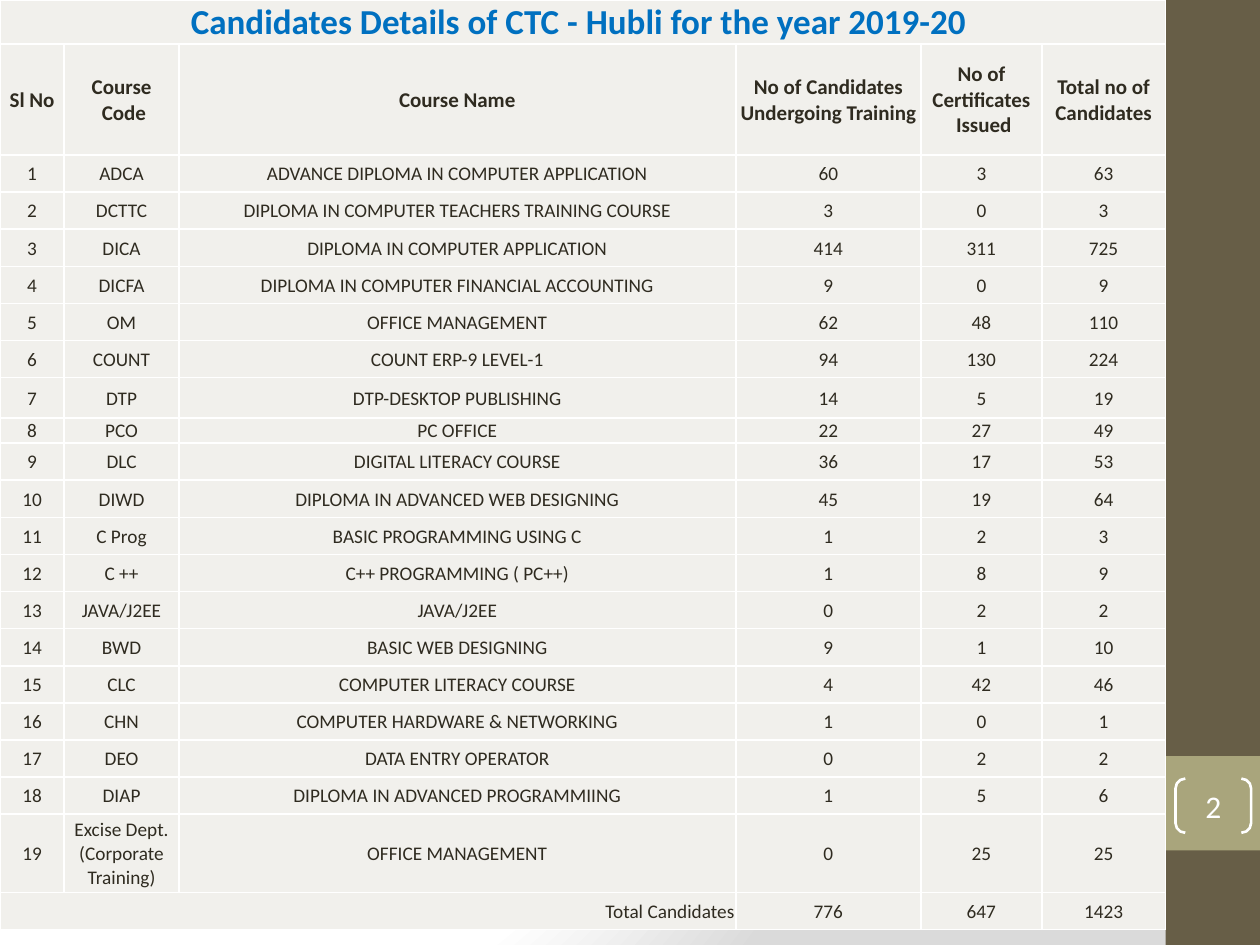
from copy import deepcopy

from pptx import Presentation
from pptx.dml.color import RGBColor
from pptx.enum.shapes import MSO_SHAPE as Shape
from pptx.enum.text import MSO_ANCHOR as Anchor, PP_ALIGN as Align
from pptx.oxml import parse_xml
from pptx.oxml.ns import nsdecls, qn
from pptx.util import Inches, Pt

WHITE = RGBColor(0xFF, 0xFF, 0xFF)
BROWN = RGBColor(0x67, 0x5E, 0x47)
OLIVE = RGBColor(0xA9, 0xA5, 0x7C)
INK = RGBColor(0x2F, 0x2B, 0x20)
BLUE = RGBColor(0x00, 0x70, 0xC0)
CELL = RGBColor(0xF1, 0xF0, 0xEC)

FONT = "Calibri"
SLIDE_W, SLIDE_H = 10, 7.5
BAR_W = 0.75
TABLE_W, TABLE_H = SLIDE_W - BAR_W, 7.38
COLS = [0.51, 0.91, 4.42, 1.47, 0.96, 0.98]
SPECIAL_ROWS = {0: 0.35, 1: 0.88, 8: 0.32, 9: 0.2, 20: 0.62}

TITLE = "Candidates Details of CTC - Hubli for the year 2019-20 "
HEADER = ["Sl No", "Course\v Code", "Course Name", "No of Candidates Undergoing Training",
          "No of Certificates\v Issued", "Total no of Candidates"]
COURSES = [
    ("ADCA", "ADVANCE DIPLOMA IN COMPUTER APPLICATION", 60, 3, 63),
    ("DCTTC", "DIPLOMA IN COMPUTER TEACHERS TRAINING COURSE", 3, 0, 3),
    ("DICA", "DIPLOMA IN COMPUTER APPLICATION", 414, 311, 725),
    ("DICFA", "DIPLOMA IN COMPUTER FINANCIAL ACCOUNTING", 9, 0, 9),
    ("OM", "OFFICE MANAGEMENT", 62, 48, 110),
    ("COUNT", "COUNT ERP-9 LEVEL-1", 94, 130, 224),
    ("DTP", "DTP-DESKTOP PUBLISHING", 14, 5, 19),
    ("PCO", "PC OFFICE", 22, 27, 49),
    ("DLC", "DIGITAL LITERACY COURSE", 36, 17, 53),
    ("DIWD", "DIPLOMA IN ADVANCED WEB DESIGNING", 45, 19, 64),
    ("C Prog", "BASIC PROGRAMMING USING C", 1, 2, 3),
    ("C ++", "C++ PROGRAMMING ( PC++)", 1, 8, 9),
    ("JAVA/J2EE", "JAVA/J2EE", 0, 2, 2),
    ("BWD", "BASIC WEB DESIGNING", 9, 1, 10),
    ("CLC", "COMPUTER LITERACY COURSE", 4, 42, 46),
    ("CHN", "COMPUTER HARDWARE & NETWORKING", 1, 0, 1),
    ("DEO", "DATA ENTRY OPERATOR", 0, 2, 2),
    ("DIAP", "DIPLOMA IN ADVANCED PROGRAMMIING", 1, 5, 6),
    ("Excise Dept. (Corporate Training)", "OFFICE MANAGEMENT", 0, 25, 25),
]
TOTALS = ["Total Candidates", None, None, 776, 647, 1423]


def write(tf, text, size=11, color=INK, bold=False, align=Align.CENTER):
    """Put one formatted paragraph into a text frame."""
    p = tf.paragraphs[0]
    p.text = str(text)
    p.alignment = align
    for r in p.runs:
        r.font.name, r.font.size, r.font.bold = FONT, Pt(size), bold
        r.font.color.rgb = color
    for br in p._p.findall(qn("a:br")):
        br.insert(0, deepcopy(p.runs[0]._r.rPr))


def set_background(s):
    """Fill the slide with a circular white to grey gradient."""
    stops = "".join(f'<a:gs pos="{pos}000"><a:srgbClr val="{color}"/></a:gs>'
                    for pos, color in [(0, "FFFFFF"), (75, "FFFFFF"), (100, "DADADA")])
    s.element.cSld.insert(0, parse_xml(
        f'<p:bg {nsdecls("p", "a")}><p:bgPr><a:gradFill rotWithShape="1"><a:gsLst>{stops}</a:gsLst>'
        '<a:path path="circle"><a:fillToRect l="20000" t="50000" r="100000" b="50000"/></a:path>'
        '</a:gradFill><a:effectLst/></p:bgPr></p:bg>'))


def add_shape(s, kind, x, y, w, h, fill=None, line=None):
    """Add a flat preset shape with an optional fill and outline."""
    sp = s.shapes.add_shape(kind, Inches(x), Inches(y), Inches(w), Inches(h))
    sp.shadow.inherit = False
    for part, color in ((sp.fill, fill), (sp.line.fill, line)):
        if color is None:
            part.background()
        else:
            part.solid()
            part.fore_color.rgb = color
    return sp


def add_page_number(s, number):
    """Add the side bar with its page number in brackets."""
    add_shape(s, Shape.RECTANGLE, TABLE_W, 0, BAR_W, SLIDE_H, fill=BROWN)
    add_shape(s, Shape.RECTANGLE, TABLE_W, 0.8 * SLIDE_H, BAR_W, BAR_W, fill=OLIVE)
    sp = add_shape(s, Shape.DOUBLE_BRACKET, 9.33, 6.18, 0.6, 0.43, line=WHITE)
    sp.line.width = Pt(1.5)
    sp.adjustments[0] = 0.18
    tf = sp.text_frame
    tf.margin_left = tf.margin_right = tf.margin_top = tf.margin_bottom = 0
    tf.vertical_anchor = Anchor.MIDDLE
    write(tf, number, size=18, color=WHITE)


def style_cell(cell):
    """Give a cell its fill, margins and white borders."""
    cell.margin_left = cell.margin_right = cell.margin_top = Inches(0.01)
    cell.margin_bottom = 0
    cell.vertical_anchor = Anchor.MIDDLE
    tcPr = cell._tc.get_or_add_tcPr()
    for side in ("lnL", "lnR", "lnT", "lnB"):
        tcPr.append(parse_xml(f'<a:{side} {nsdecls("a")} w="{Pt(1)}"><a:solidFill>'
                              f'<a:srgbClr val="{WHITE}"/></a:solidFill></a:{side}>'))
    cell.fill.solid()
    cell.fill.fore_color.rgb = CELL


def add_course_table(s):
    """Add the table of courses with title, header and totals."""
    courses = [[i, *course] for i, course in enumerate(COURSES, 1)]
    rows = [[TITLE] + [None] * 5, HEADER, *courses, TOTALS]
    last = len(rows) - 1
    formats = {0: dict(size=20, color=BLUE, bold=True), 1: dict(size=12, bold=True)}
    table = s.shapes.add_table(len(rows), len(COLS), 0, 0, Inches(TABLE_W), Inches(TABLE_H)).table
    table.first_row = table.horz_banding = False
    for col, width in zip(table.columns, COLS):
        col.width = Inches(width)
    regular = (TABLE_H - sum(SPECIAL_ROWS.values())) / (len(rows) - len(SPECIAL_ROWS))
    for i, values in enumerate(rows):
        table.rows[i].height = Inches(SPECIAL_ROWS.get(i, regular))
        for j, value in enumerate(values):
            cell = table.cell(i, j)
            style_cell(cell)
            if value is not None:
                align = Align.RIGHT if (i, j) == (last, 0) else Align.CENTER
                write(cell.text_frame, value, align=align, **formats.get(i, {}))
    table.cell(0, 0).merge(table.cell(0, 5))
    table.cell(last, 0).merge(table.cell(last, 2))


def main():
    """Build and save the slide."""
    prs = Presentation()
    prs.slide_width, prs.slide_height = Inches(SLIDE_W), Inches(SLIDE_H)
    s = prs.slides.add_slide(prs.slide_layouts[6])
    set_background(s)
    add_page_number(s, 2)
    add_course_table(s)
    prs.save("out.pptx")


if __name__ == "__main__":
    main()
